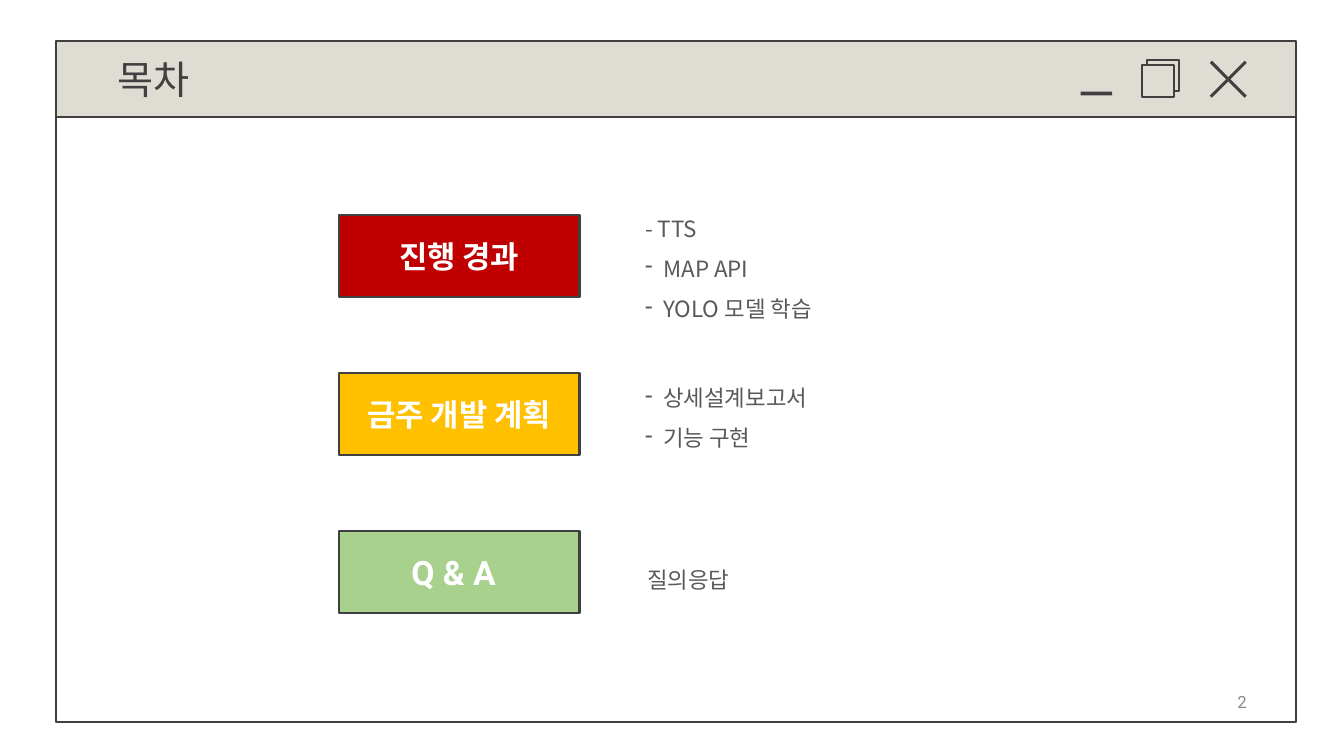
import pptx
import pptx.dml.color
import pptx.enum.shapes
import pptx.enum.text
import pptx.oxml
import pptx.oxml.ns
import pptx.util
from lxml import etree

Pt = pptx.util.Pt
ALIGN = pptx.enum.text.PP_ALIGN
ANCHOR = pptx.enum.text.MSO_ANCHOR
KOREAN, LATIN = "Noto Sans CJK KR", "Roboto"
DARK, BAR, GRAY = "404040", "DFDCD3", "595959"
INSET = 3.6

# label, fill, label size, right inset, detail left and top, detail lines
SECTIONS = [
    ("진행 경과", "C00000", 22, INSET, 457.2, 140.4, ["- TTS", "• MAP API", "• YOLO 모델 학습"]),
    ("금주 개발 계획", "FFC000", 22, INSET, 457.2, 261.4, ["• 상세설계보고서", "• 기능 구현"]),
    ("Q & A", "A9D18E", 24, 11.6, 458.6, 391, ["질의응답"]),
]


def color(value):
    return pptx.dml.color.RGBColor.from_string(value)


def add_box(s, x, y, w, h, fill, line=None, rotation=0):
    sp = s.shapes.add_shape(pptx.enum.shapes.MSO_SHAPE.RECTANGLE, Pt(x), Pt(y), Pt(w), Pt(h))
    sp.shadow.inherit = False
    sp.fill.solid()
    sp.fill.fore_color.rgb = color(fill)
    if line:
        sp.line.color.rgb = color(line)
        sp.line.width = Pt(1.5)
    else:
        sp.line.fill.background()
    sp.rotation = rotation
    return sp


def set_frame(tf, anchor, right=INSET, wrap=True):
    tf.word_wrap = wrap
    tf.vertical_anchor = anchor
    tf.margin_left = tf.margin_top = tf.margin_bottom = Pt(INSET)
    tf.margin_right = Pt(right)


def set_text(p, text, size, font, fill, align=ALIGN.LEFT, bold=False):
    p.text = text
    p.alignment = align
    for r in p.runs:
        r.font.size = Pt(size)
        r.font.name = font
        r.font.bold = bold
        r.font.color.rgb = color(fill)
        ea = etree.SubElement(r.font._element, pptx.oxml.ns.qn("a:ea"))
        ea.set("typeface", KOREAN)


def set_dash_bullet(p):
    pPr = p._p.get_or_add_pPr()
    pPr.set("marL", str(Pt(13)))
    pPr.set("indent", str(Pt(-13)))
    etree.SubElement(pPr, pptx.oxml.ns.qn("a:buChar")).set("char", "-")


def add_details(s, x, y, lines):
    """Add a text box; a line marked with • becomes a dash bullet."""
    sp = s.shapes.add_textbox(Pt(x), Pt(y), Pt(275), Pt(28 * len(lines)))
    tf = sp.text_frame
    set_frame(tf, ANCHOR.TOP)
    for i, line in enumerate(lines):
        p = tf.paragraphs[0] if i == 0 else tf.add_paragraph()
        if line.startswith("• "):
            set_dash_bullet(p)
        set_text(p, line.removeprefix("• "), 16, KOREAN, GRAY)
        p.line_spacing = 1.5


def add_window(s):
    bar = add_box(s, 40, 29.5, 886, 54, BAR, DARK)
    add_box(s, 40, 83.5, 886, 432, "FFFFFF", DARK)
    add_box(s, 772, 65.5, 22.5, 2.6, DARK)
    for x, y in [(819.5, 42.6), (815.8, 46.6)]:
        add_box(s, x, y, 22.5, 22.5, BAR, DARK)
    for rotation in (45, 315):
        add_box(s, 859.7, 55.5, 35.3, 2.2, DARK, rotation=rotation)
    return bar


def set_title(s, bar, text):
    """Place the title on the bar, in front of it."""
    sp = s.shapes.title
    sp.left, sp.top, sp.width, sp.height = Pt(44.5), Pt(36.6), Pt(877), Pt(40)
    bar.element.addnext(sp.element)
    set_frame(sp.text_frame, ANCHOR.MIDDLE)
    sp.text_frame.margin_left = Pt(36 + INSET)
    set_text(sp.text_frame.paragraphs[0], text, 28, KOREAN, DARK)


def add_page_number(s, number):
    sp = s.shapes.add_textbox(Pt(879), Pt(491), Pt(15.3), Pt(21))
    set_frame(sp.text_frame, ANCHOR.MIDDLE, wrap=False)
    set_text(sp.text_frame.paragraphs[0], number, 12, LATIN, "888888", ALIGN.RIGHT)


def main():
    prs = pptx.Presentation()
    prs.slide_width, prs.slide_height = Pt(960), Pt(540)
    s = prs.slides.add_slide(prs.slide_layouts.get_by_name("Title Only"))
    set_title(s, add_window(s), "목차")
    for i, (label, fill, size, right, x, y, lines) in enumerate(SECTIONS):
        sp = add_box(s, 242, 153.4 + 113 * i, 172, 58.5, fill, DARK)
        set_frame(sp.text_frame, ANCHOR.MIDDLE, right)
        set_text(sp.text_frame.paragraphs[0], label, size, LATIN, "FFFFFF", ALIGN.CENTER, True)
        add_details(s, x, y, lines)
    add_page_number(s, "2")
    prs.save("out.pptx")


if __name__ == "__main__":
    main()
